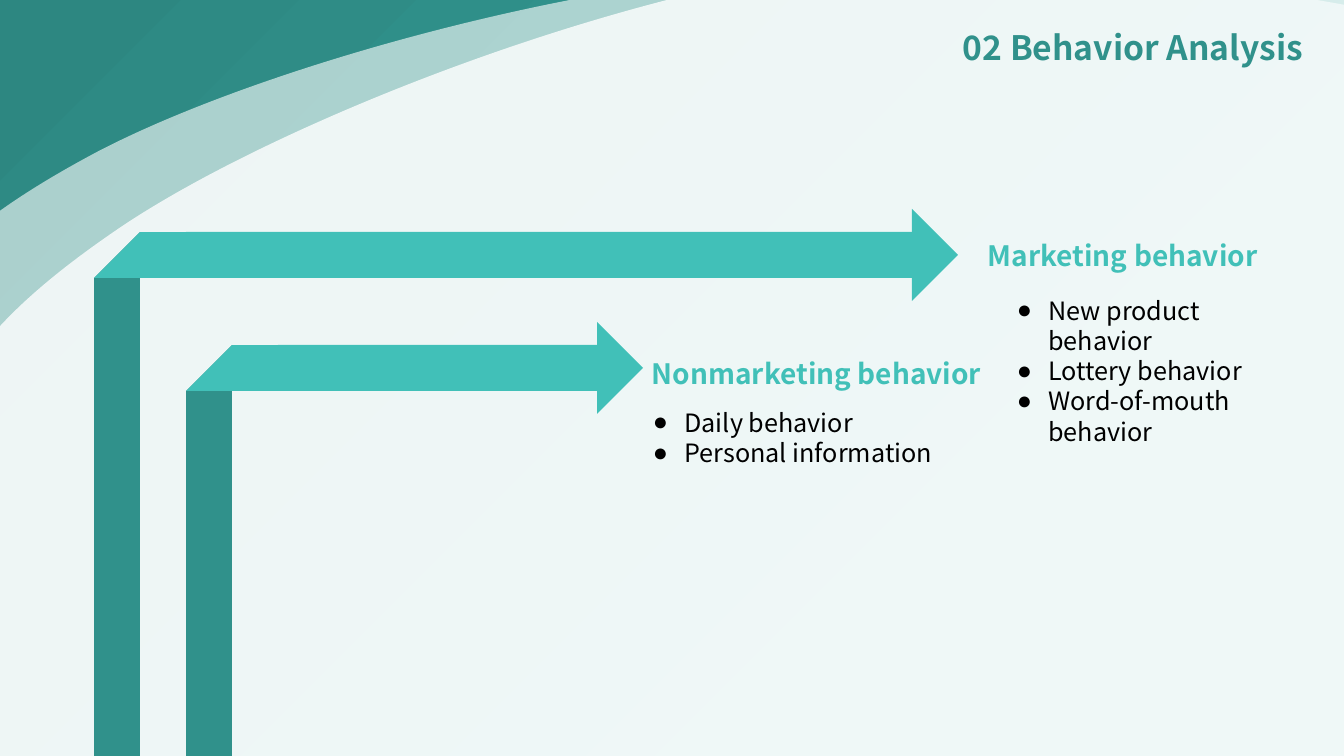
"""Builds the "02 Behavior Analysis" slide with two bent arrows."""
from lxml import etree
from pptx import Presentation
from pptx.dml.color import RGBColor
from pptx.enum.shapes import MSO_SHAPE as SHAPE
from pptx.enum.text import MSO_ANCHOR as ANCHOR, MSO_AUTO_SIZE as AUTO, PP_ALIGN as ALIGN
from pptx.oxml.ns import qn
from pptx.util import Pt

PX = 914400 / 100.8
FONT = "Noto Sans CJK SC"
COLORS = {"dark": "30918B", "light": "41C0B8", "black": "000000", "white": "FFFFFF"}
BACK_STOPS = [(0, "39ACA5"), (23, "39ACA5"), (69, "30918B"), (97, "2D8781")]

prs = Presentation()
prs.slide_width, prs.slide_height = round(1344 * PX), round(756 * PX)
s = prs.slides.add_slide(prs.slide_layouts[6])


def add_shape(kind, x, y, w, h, color, rot=0, flip=False):
    sp = s.shapes.add_shape(kind, *(round(v * PX) for v in (x, y, w, h)))
    sp.shadow.inherit = False
    sp.line.fill.background()
    sp.fill.solid()
    sp.fill.fore_color.rgb = RGBColor.from_string(COLORS[color])
    sp.rotation = rot
    if flip:
        sp.element.spPr.find(qn("a:xfrm")).set("flipH", "1")
    return sp


def add_text(lines, x, y, w, h, size, color, bold=False, align=ALIGN.LEFT,
             spacing=None, bullet=None, wrap=True, auto=AUTO.SHAPE_TO_FIT_TEXT):
    tf = s.shapes.add_textbox(*(round(v * PX) for v in (x, y, w, h))).text_frame
    tf.word_wrap = wrap
    tf.auto_size = auto
    for i, line in enumerate(lines):
        p = tf.paragraphs[0] if i == 0 else tf.add_paragraph()
        p.alignment = align
        p.line_spacing = spacing
        r = p.add_run()
        r.text = line
        r.font.name, r.font.size, r.font.bold = FONT, Pt(size), bold
        r.font.color.rgb = RGBColor.from_string(COLORS[color])
        if bullet:
            pPr = p._p.get_or_add_pPr()
            pPr.set("marL", "285750")
            pPr.set("indent", "-285750")
            etree.SubElement(pPr, qn("a:buFont")).set("typeface", "Arial")
            etree.SubElement(pPr, qn("a:buChar")).set("char", bullet)
    return tf


back = add_shape(SHAPE.RECTANGLE, 0, 0, 1344, 756, "dark")
back.fill.gradient()
back.fill.gradient_angle = 135
stops = back.element.spPr.find(qn("a:gradFill")).find(qn("a:gsLst"))
for gs in list(stops):
    stops.remove(gs)
for pos, color in BACK_STOPS:
    gs = etree.SubElement(stops, qn("a:gs"), pos=str(pos * 1000))
    etree.SubElement(gs, qn("a:srgbClr"), val=color)

BLOB_W, BLOB_H = 2060, 1001
BLOB = [(59, 426), (92, 333), (134, 270), (292, 186), (449, 104), (764, 14), (1015, 2),
        (1266, -10), (1642, 33), (1800, 117), (1958, 199), (2137, 453), (2028, 584),
        (1917, 716), (1337, 972), (1015, 999), (692, 1025), (247, 825), (90, 742),
        (-68, 659), (26, 519), (59, 426)]
for x, y, rot, opacity in [(-195, -34, 0, 60), (-139, -39, 354.1, 80)]:
    fb = s.shapes.build_freeform(0, 0, scale=PX)
    fb.add_line_segments([(BLOB_W, BLOB_H)])
    sp = fb.convert_to_shape()
    sp.left, sp.top, sp.rotation = round(x * PX), round(y * PX), rot
    outline = next(sp.element.iter(qn("a:path")))
    for part in list(outline):
        outline.remove(part)
    for tag, pts in [("a:moveTo", BLOB[:1])] + [("a:cubicBezTo", BLOB[i:i + 3])
                                                for i in range(1, len(BLOB), 3)]:
        part = etree.SubElement(outline, qn(tag))
        for px, py in pts:
            etree.SubElement(part, qn("a:pt"), x=str(px), y=str(py))
    etree.SubElement(outline, qn("a:close"))
    sp.shadow.inherit = False
    sp.line.fill.background()
    sp.fill.solid()
    sp.fill.fore_color.rgb = RGBColor.from_string(COLORS["white"])
    clr = sp.element.spPr.find(qn("a:solidFill")).find(qn("a:srgbClr"))
    etree.SubElement(clr, qn("a:alpha"), val=str(opacity * 1000))

tf = add_text(["02 Behavior Analysis"], 728, 28, 585, 80, 24, "dark", bold=True,
              align=ALIGN.RIGHT, spacing=0.9, auto=AUTO.NONE)
tf.vertical_anchor = ANCHOR.MIDDLE
tf.margin_top, tf.margin_bottom = 0, round(36 * PX)

BAR, FOLD = 46, 130
for x, y, stem_top, tip in [(94, 232, 326, 912), (186, 345, 456, 597)]:
    add_shape(SHAPE.DIAGONAL_STRIPE, x - 19, y + 27, FOLD, FOLD, "dark", rot=315)
    add_shape(SHAPE.RECTANGLE, x, stem_top, BAR, 756 - stem_top, "dark")
    add_shape(SHAPE.DIAGONAL_STRIPE, x + 27, y - 19, FOLD, FOLD, "light", rot=315, flip=True)
    length = tip - x - 2 * BAR
    add_shape(SHAPE.RECTANGLE, tip - (length + BAR) / 2, y + (BAR - length) / 2, BAR, length,
              "light", rot=270, flip=True)
    add_shape(SHAPE.ISOSCELES_TRIANGLE, tip - BAR // 2, y, 2 * BAR, BAR, "light", rot=90)

for heading, x, y, w in [("Marketing behavior", 978, 223, 302),
                         ("Nonmarketing behavior", 642, 341, 361)]:
    add_text([heading], x, y, w, 50, 20, "light", bold=True, spacing=1.3, wrap=False)

for items, x, y, w, h in [
    (["New product behavior", "Lottery behavior", "Word-of-mouth behavior"], 1007, 290, 280, 163),
    (["Daily behavior", "Personal information"], 643, 402, 335, 72),
]:
    add_text(items, x, y, w, h, 18, "black", bullet="●")

prs.save("out.pptx")
